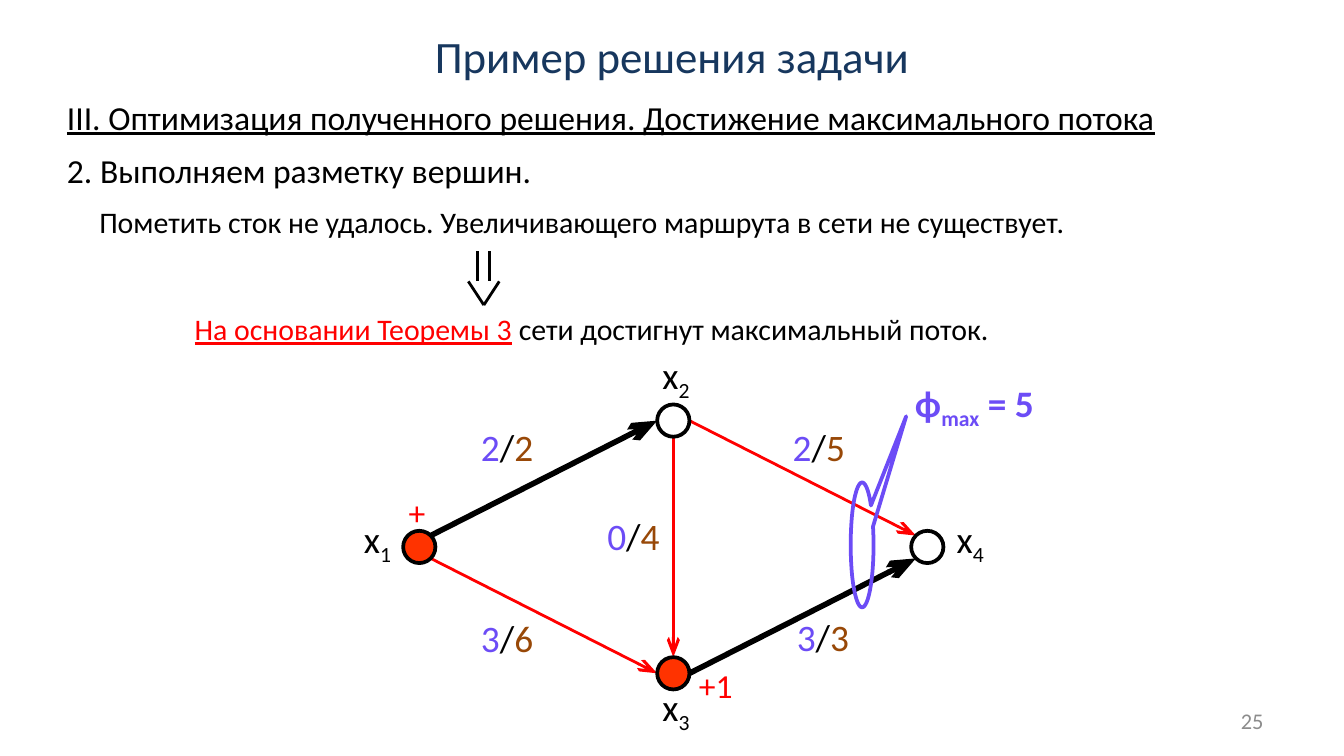
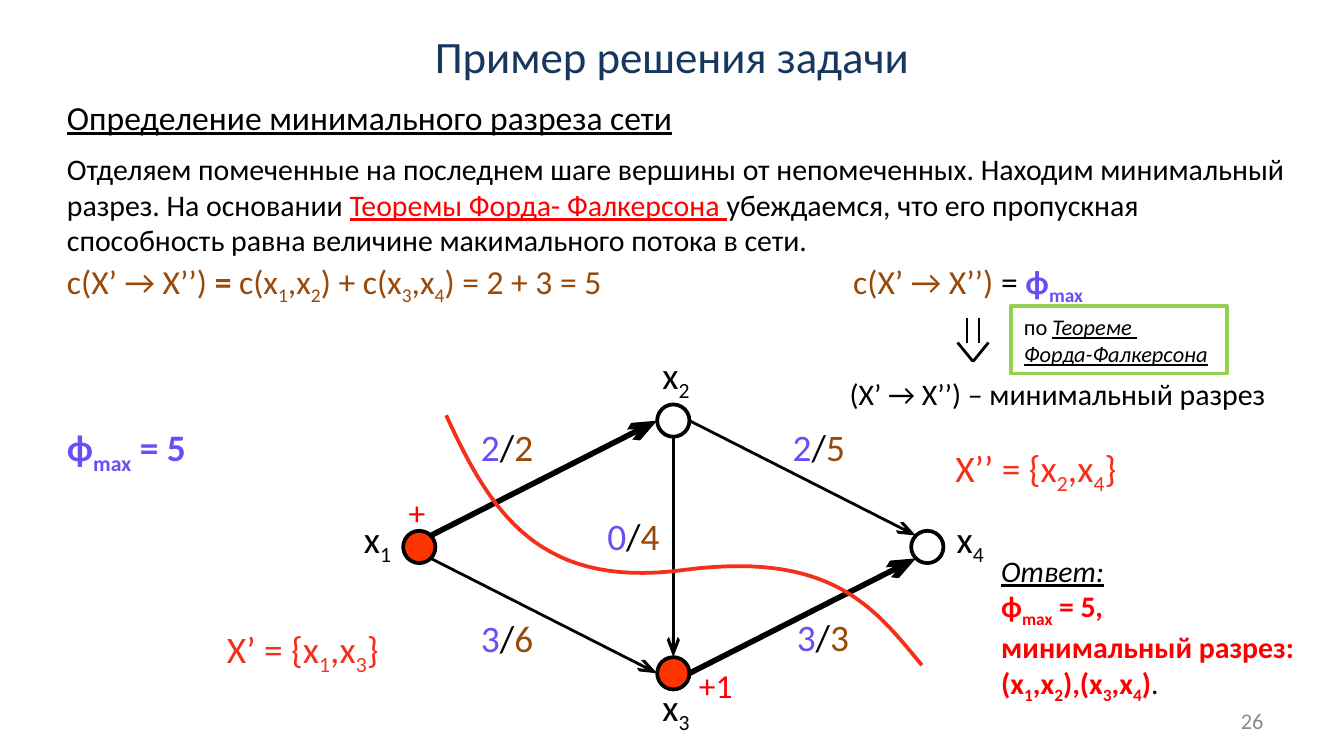
import math

import pptx
import pptx.dml.color
import pptx.enum.shapes
import pptx.enum.text
import pptx.oxml
import pptx.oxml.ns
import pptx.util

RGBColor = pptx.dml.color.RGBColor
Inches = pptx.util.Inches
ShapeType = pptx.enum.shapes.MSO_SHAPE
Align = pptx.enum.text.PP_ALIGN
Anchor = pptx.enum.text.MSO_ANCHOR
AutoSize = pptx.enum.text.MSO_AUTO_SIZE

BLACK = RGBColor(0x00, 0x00, 0x00)
WHITE = RGBColor(0xFF, 0xFF, 0xFF)
NAVY = RGBColor(0x17, 0x37, 0x5E)
GREY = RGBColor(0x8C, 0x8C, 0x8C)
RED = RGBColor(0xFF, 0x00, 0x00)
MARKED = RGBColor(0xFF, 0x33, 0x00)
CUT = RGBColor(0xF6, 0x2F, 0x1A)
FLOW = RGBColor(0x6C, 0x4C, 0xF6)
CAPACITY = RGBColor(0x98, 0x48, 0x07)
GREEN = RGBColor(0x92, 0xD0, 0x50)

FONT = "Calibri"
WIDTH = 10
HEIGHT = WIDTH * 9 / 16
TITLE = "Пример решения задачи"
BODY_LEFT, HEADING_TOP, BODY_TOP = 0.4, 0.67, 1.07
TIGHT, FLUSH = (0.04, 0), (0, 0.05)

# Network: nodes sit on a grid around its centre; offsets are from a node's centre.
CENTRE_X, CENTRE_Y = 5.01, 4.07
COLUMN, ROW = 1.89, 0.94
RADIUS = 0.12
# name: (column, row, label offset, mark, mark offset, mark width)
NODES = {
    "1": (-1, 0, (-0.51, -0.28), "+", (-0.12, -0.41), 0.21),
    "2": (0, -1, (-0.18, -0.56), None, None, None),
    "3": (0, 1, (-0.18, 0.03), "+1", (0.15, -0.06), 0.36),
    "4": (1, 0, (0.12, -0.28), None, None, None),
}
# (from, leaving angle, to, arriving angle, flow, capacity, label place)
EDGES = [
    ("3", 0, "4", 135, 3, 3, (5.83, 4.52)),
    ("1", -45, "2", 180, 2, 2, (3.48, 3.11)),
    ("1", 45, "3", 180, 3, 6, (3.48, 4.53)),
    ("2", 90, "3", -90, 0, 4, (4.42, 3.77)),
    ("2", 0, "4", -135, 2, 5, (5.8, 3.11)),
]
CUT_CURVE = [
    [(6.86, 4.95), (6.51, 4.53), (6.2, 4.1), (5.1, 4.24)],
    [(5.1, 4.24), (4.01, 4.39), (3.65, 3.81), (3.32, 3.09)],
]

# A text is (box, size, paragraphs, wraps, ...); a run is (text, colour, flags b/i/u).
# Characters between ~ signs are subscripts.
MAX_FLOW = [[("ϕ~max~ = 5", FLOW, "b")]]
PAGES = [
    {
        "number": 25,
        "heading": "III. Оптимизация полученного решения. Достижение максимального потока",
        "heading_width": 8.56,
        "open_edge": RED,
        "implication": (3.6, 1.87, 0.4),
        "texts": [
            ((BODY_LEFT, BODY_TOP, 3.69, 0.4), 18,
             [[("2. Выполняем разметку вершин.", BLACK, "")]], False),
            ((0.64, 1.47, 7.48, 0.37), 16,
             [[("Пометить сток не удалось. Увеличивающего маршрута в сети "
                "не существует.", BLACK, "")]], False),
            ((1.35, 2.26, 6.18, 0.37), 16,
             [[("На основании Теоремы 3", RED, "u"),
               (" сети достигнут максимальный поток.", BLACK, "")]], False),
            ((6.71, 2.78, 1.14, 0.44), 20, MAX_FLOW, False),
        ],
    },
    {
        "number": 26,
        "heading": "Определение минимального разреза сети",
        "heading_width": 4.76,
        "open_edge": BLACK,
        "implication": (7.24, 2.37, 0.32),
        "texts": [
            ((BODY_LEFT, BODY_TOP, 9.3, 0.91), 16,
             [[("Отделяем помеченные на последнем шаге вершины от непомеченных. "
                "Находим минимальный разрез. На основании ", BLACK, ""),
               ("Теоремы Форда- Фалкерсона ", RED, "u"),
               ("убеждаемся, что его пропускная способность равна величине "
                "макимального потока в сети.", BLACK, "")]], True),
            ((BODY_LEFT, 1.89, 4.93, 0.4), 18,
             [[("c(Х’ → Х’’) ", CAPACITY, ""), ("= ", CAPACITY, "b"),
               ("c(х~1~,х~2~) + c(х~3~,х~4~) = 2 + 3 = 5", CAPACITY, "")]], True),
            ((6.25, 1.89, 2.03, 0.4), 18,
             [[("c(Х’ → Х’’) ", CAPACITY, ""), ("= ", BLACK, ""),
               ("ϕ~max~", FLOW, "b")]], False),
            ((6.2, 2.75, 3.34, 0.37), 16,
             [[("(Х’ → Х’’) – минимальный разрез", BLACK, "")]], True, Align.CENTER),
            ((BODY_LEFT, 3.11, 1.14, 0.44), 20, MAX_FLOW, False),
            ((1.59, 4.61, 1.41, 0.44), 20, [[("Х’ = {х~1~,х~3~}", CUT, "")]], False),
            ((7.01, 3.26, 1.48, 0.44), 20, [[("Х’’ = {х~2~,х~4~}", CUT, "")]], False),
            ((7.45, 4.06, 2.44, 1.18), 16,
             [[("Ответ:", BLACK, "iu")],
              [("ϕ~max~ = 5", RED, "b"), (",", RED, "bi")],
              [("минимальный разрез: (х~1~,х~2~),(х~3~,х~4~)", RED, "b"),
               (".", BLACK, "")]], True, Align.LEFT, Anchor.TOP, FLUSH),
        ],
    },
]
THEOREM_BOX = (7.52, 2.28, 1.61, 0.5)
THEOREM_NOTE = [[("по ", BLACK, ""), ("Теореме ", BLACK, "iu")],
                [("Форда-Фалкерсона", BLACK, "iu")]]


def inches(values):
    return [Inches(value) for value in values]


def write(shape, size, paragraphs, wraps=False, align=Align.LEFT, anchor=Anchor.TOP,
          margins=(0.1, 0.05), grows=True):
    frame = shape.text_frame
    horizontal, vertical = inches(margins)
    frame_format = {
        "word_wrap": wraps, "vertical_anchor": anchor,
        "auto_size": AutoSize.SHAPE_TO_FIT_TEXT if grows else AutoSize.NONE,
        "margin_left": horizontal, "margin_right": horizontal,
        "margin_top": vertical, "margin_bottom": vertical,
    }
    for name, value in frame_format.items():
        setattr(frame, name, value)
    for index, runs in enumerate(paragraphs):
        paragraph = frame.add_paragraph() if index else frame.paragraphs[0]
        paragraph.alignment = align
        for text, color, flags in runs:
            for part_index, part in enumerate(text.split("~")):
                if part:
                    add_run(paragraph, part, size, color, flags, part_index % 2)


def add_run(paragraph, text, size, color, flags, subscript):
    run = paragraph.add_run()
    run.text = text
    font_format = {"name": FONT, "size": pptx.util.Pt(size), "bold": "b" in flags,
                   "italic": "i" in flags, "underline": "u" in flags}
    for name, value in font_format.items():
        setattr(run.font, name, value)
    run.font.color.rgb = color
    if subscript:
        run.font._element.set("baseline", "-25000")


def add_text(slide, box, size, paragraphs, *args, **options):
    write(slide.shapes.add_textbox(*inches(box)), size, paragraphs, *args, **options)


def outline(shape, color, width, fill=None):
    shape.shadow.inherit = False
    shape.line.color.rgb = color
    shape.line.width = pptx.util.Pt(width)
    if fill is None:
        shape.fill.background()
    else:
        shape.fill.solid()
        shape.fill.fore_color.rgb = fill


def add_line(shapes, start, end, color, width, arrow=False):
    line = shapes.add_connector(pptx.enum.shapes.MSO_CONNECTOR.STRAIGHT,
                                *inches(start + end))
    line.line.color.rgb = color
    line.line.width = pptx.util.Pt(width)
    if arrow:
        tail = pptx.oxml.parse_xml(
            f'<a:tailEnd {pptx.oxml.ns.nsdecls("a")} type="arrow" len="lg"/>')
        line.line._get_or_add_ln().append(tail)
    line._element.spPr.append(
        pptx.oxml.parse_xml(f'<a:effectLst {pptx.oxml.ns.nsdecls("a")}/>'))


def node_centre(name):
    column, row = NODES[name][:2]
    return CENTRE_X + column * COLUMN, CENTRE_Y + row * ROW


def rim_point(name, degrees):
    """Point on a node's circle, with the angle counted clockwise from the right."""
    x, y = node_centre(name)
    angle = math.radians(degrees)
    return x + RADIUS * math.cos(angle), y + RADIUS * math.sin(angle)


def add_network(slide, open_edge):
    """Draw the flow network; saturated edges are thick and black."""
    for start, leaving, end, arriving, flow, capacity, place in EDGES:
        color, width = (BLACK, 3) if flow == capacity else (open_edge, 1.5)
        add_line(slide.shapes, rim_point(start, leaving), rim_point(end, arriving),
                 color, width, arrow=True)
        label = [(str(flow), FLOW, ""), ("/", BLACK, ""), (str(capacity), CAPACITY, "")]
        add_text(slide, place + (0.59, 0.44), 20, [label])
    for name, (_, _, label_offset, mark, mark_offset, mark_width) in NODES.items():
        x, y = node_centre(name)
        circle = slide.shapes.add_shape(
            ShapeType.OVAL, *inches((x - RADIUS, y - RADIUS, 2 * RADIUS, 2 * RADIUS)))
        outline(circle, BLACK, 2, MARKED if mark else WHITE)
        add_text(slide, (x + label_offset[0], y + label_offset[1], 0.42, 0.44), 20,
                 [[(f"х~{name}~", BLACK, "")]])
        if mark:
            add_text(slide, (x + mark_offset[0], y + mark_offset[1], mark_width, 0.3),
                     18, [[(mark, RED, "")]], margins=TIGHT)


def add_implication(slide, centre, top, height):
    """Draw a double arrow pointing down."""
    shapes = slide.shapes.add_group_shape().shapes
    neck = top + 0.56 * height
    for side in (-1, 1):
        stem = centre + side * 0.045
        add_line(shapes, (stem, top), (stem, neck), BLACK, 1.5)
        add_line(shapes, (centre + side * 0.115, neck), (centre, top + height), BLACK, 1.5)


def add_flow_callout(slide):
    callout = slide.shapes.add_shape(ShapeType.OVAL_CALLOUT,
                                     *inches((6.33, 3.59, 0.17, 0.93)))
    callout.adjustments[0], callout.adjustments[1] = 1.93, -1.03
    outline(callout, FLOW, 2)


def curve_point(controls, share):
    """Point of a cubic Bezier curve at the given share of its parameter."""
    weights = [math.comb(3, power) * share ** power * (1 - share) ** (3 - power)
               for power in range(4)]
    return tuple(Inches(sum(weight * point[axis] for weight, point in zip(weights, controls)))
                 for axis in (0, 1))


def add_cut(slide, steps=30):
    points = [curve_point(controls, step / steps)
              for controls in CUT_CURVE for step in range(1, steps + 1)]
    builder = slide.shapes.build_freeform(*inches(CUT_CURVE[0][0]))
    builder.add_line_segments(points, close=False)
    outline(builder.convert_to_shape(), CUT, 2)


def add_page(presentation, page):
    slide = presentation.slides.add_slide(presentation.slide_layouts[6])
    add_text(slide, (0.5, 0.14, WIDTH - 1, 0.54), 24, [[(TITLE, NAVY, "")]], True,
             align=Align.CENTER, anchor=Anchor.MIDDLE, margins=(0, 0), grows=False)
    add_text(slide, (BODY_LEFT, HEADING_TOP, page["heading_width"], 0.4), 18,
             [[(page["heading"], BLACK, "u")]])
    add_network(slide, page["open_edge"])
    for text in page["texts"]:
        add_text(slide, *text)
    add_implication(slide, *page["implication"])
    add_text(slide, (7.17, 5.21, 2.33, 0.3), 12, [[(str(page["number"]), GREY, "")]], True,
             align=Align.RIGHT, anchor=Anchor.MIDDLE, grows=False)
    return slide


def main():
    presentation = pptx.Presentation()
    presentation.slide_width, presentation.slide_height = inches((WIDTH, HEIGHT))
    flow_slide, cut_slide = [add_page(presentation, page) for page in PAGES]
    add_flow_callout(flow_slide)
    add_cut(cut_slide)
    theorem = cut_slide.shapes.add_shape(ShapeType.RECTANGLE, *inches(THEOREM_BOX))
    outline(theorem, GREEN, 2)
    write(theorem, 12, THEOREM_NOTE, True)
    presentation.save("out.pptx")


if __name__ == "__main__":
    main()
